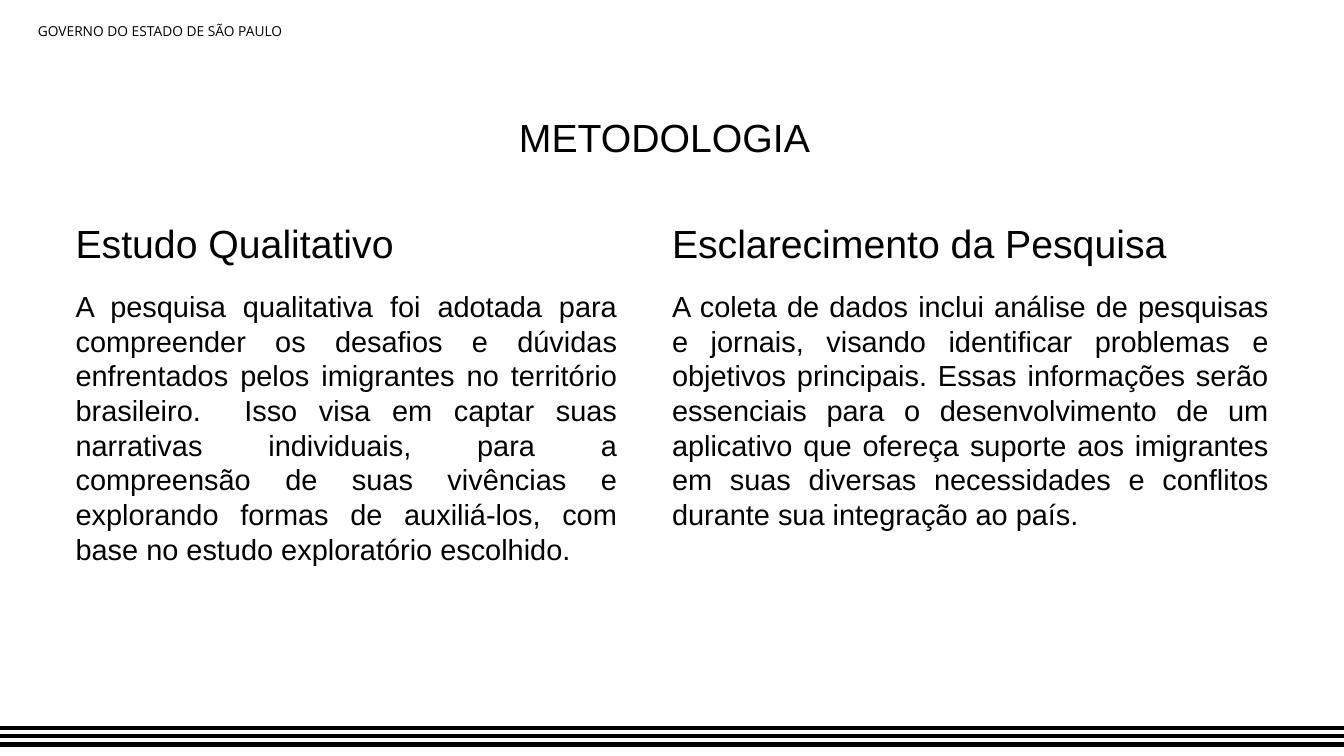
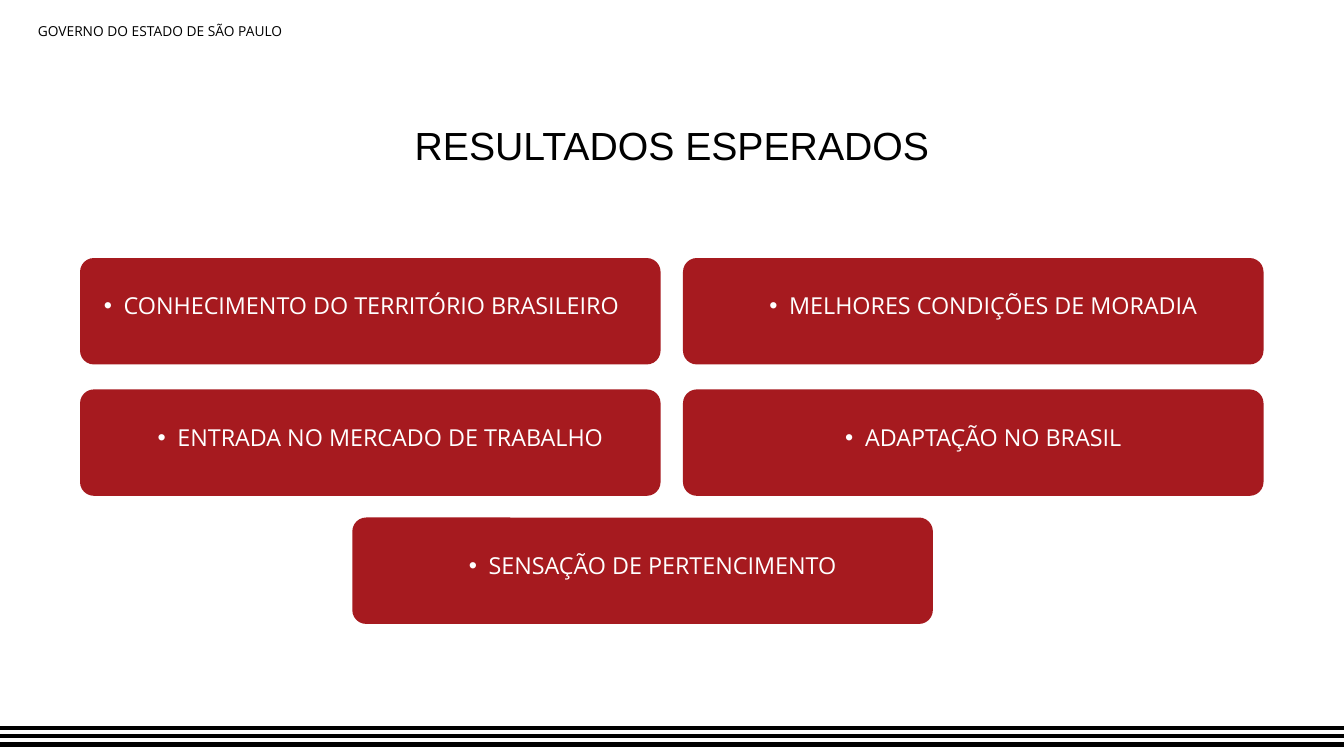
from lxml import etree
from pptx import Presentation, util as u
from pptx.dml.color import RGBColor
from pptx.enum import shapes, text
from pptx.oxml.ns import qn

COLOURS = {"ink": "000000", "card": "A61A1F", "card text": "FFFFFF"}
ALIGN = text.PP_ALIGN
WIDTH, HEIGHT = 1440, 810
TITLE_SIZE, TITLE_SPACING = 42, 50.4


def place(shape, left, top, width, height):
    shape.left, shape.top = u.Pt(left), u.Pt(top)
    shape.width, shape.height = u.Pt(width), u.Pt(height)


def write(shape, content, size, spacing, align=ALIGN.LEFT, font="Arial",
          colour="ink", anchor=text.MSO_ANCHOR.TOP, bottom=0, bullet=None):
    """Fill a shape with one paragraph at exact line spacing; bottom is the lower inset."""
    frame = shape.text_frame
    frame.word_wrap = True
    frame.auto_size = text.MSO_AUTO_SIZE.NONE
    frame.vertical_anchor = anchor
    frame.margin_left = frame.margin_top = frame.margin_right = 0
    frame.margin_bottom = u.Pt(bottom)
    frame.text = content
    para = frame.paragraphs[0]
    para.alignment = align
    para.line_spacing = u.Pt(spacing)
    para.space_before = para.space_after = u.Pt(0)
    properties = para._p.get_or_add_pPr()
    properties.set("marL", str(u.Pt(42.5) if bullet else 0))
    properties.set("indent", str(u.Pt(-21.25) if bullet else 0))
    if bullet:
        etree.SubElement(properties, qn("a:buFont"), typeface="Arial")
        etree.SubElement(properties, qn("a:buChar"), char=bullet)
    else:
        etree.SubElement(properties, qn("a:buNone"))
    para.font.name = font
    para.font.size = u.Pt(size)
    para.font.bold = False
    para.font.color.rgb = RGBColor.from_string(COLOURS[colour])


deck = Presentation()
deck.slide_width, deck.slide_height = u.Pt(WIDTH), u.Pt(HEIGHT)
comparison, title_only = deck.slide_layouts[4], deck.slide_layouts[5]

# Shared frame: title, header and three stripes at the foot
pages = []
for layout, title, box, align in [
    (comparison, "METODOLOGIA", (556, 121, 328, 57), ALIGN.LEFT),
    (title_only, "RESULTADOS ESPERADOS", (402, 130, 636, 57), ALIGN.CENTER),
]:
    page = deck.slides.add_slide(layout)
    pages.append(page)
    place(page.shapes.title, *box)
    write(page.shapes.title, title, TITLE_SIZE, TITLE_SPACING, align)
    header = page.shapes.add_textbox(u.Pt(26), u.Pt(21.5), u.Pt(291), u.Pt(20))
    write(header, "GOVERNO DO ESTADO DE SÃO PAULO", 14.7, 20.6, ALIGN.CENTER, "Open Sans")
    for row in range(3):
        y = u.Pt(779.75 + 9 * row)
        stripe = page.shapes.add_connector(
            shapes.MSO_CONNECTOR.STRAIGHT, 0, y, u.Pt(WIDTH), y)
        stripe.line.width = u.Pt(4.5)
        stripe.line.color.rgb = RGBColor.from_string(COLOURS["ink"])
        etree.SubElement(stripe._element.spPr, qn("a:effectLst"))
method_page, results_page = pages

# Methodology: two headed columns
columns = [
    (81, 580, "Estudo Qualitativo",
     "A pesquisa qualitativa foi adotada para compreender os desafios e dúvidas "
     "enfrentados pelos imigrantes no território brasileiro.  Isso visa em captar suas "
     "narrativas individuais, para a compreensão de suas vivências e explorando formas "
     "de auxiliá-los, com base no estudo exploratório escolhido."),
    (720, 639, "Esclarecimento da Pesquisa",
     "A coleta de dados inclui análise de pesquisas e jornais, visando identificar "
     "problemas e objetivos principais. Essas informações serão essenciais para o "
     "desenvolvimento de um aplicativo que ofereça suporte aos imigrantes em suas "
     "diversas necessidades e conflitos durante sua integração ao país."),
]
for column, (left, width, heading, body) in enumerate(columns):
    heading_box = page_heading = method_page.placeholders[1 + 2 * column]
    body_box = method_page.placeholders[2 + 2 * column]
    place(heading_box, left, 235, width, 57)
    write(heading_box, heading, TITLE_SIZE, TITLE_SPACING)
    place(body_box, left, 309, width, 300)
    write(body_box, body, 31, 37.2, ALIGN.JUSTIFY)

# Expected results: two rows of cards and one below
cards = [
    (85.75, 276.5, "CONHECIMENTO DO TERRITÓRIO BRASILEIRO", ALIGN.LEFT),
    (731.75, 276.5, "MELHORES CONDIÇÕES DE MORADIA", ALIGN.CENTER),
    (85.75, 417.25, "ENTRADA NO MERCADO DE TRABALHO", ALIGN.CENTER),
    (731.75, 417.25, "ADAPTAÇÃO NO BRASIL", ALIGN.CENTER),
    (377.5, 554.5, "SENSAÇÃO DE PERTENCIMENTO", ALIGN.CENTER),
]
for left, top, result, align in cards:
    card = results_page.shapes.add_shape(
        shapes.MSO_SHAPE.ROUNDED_RECTANGLE, u.Pt(left), u.Pt(top), u.Pt(622), u.Pt(114))
    card.adjustments[0] = 0.13
    card.shadow.inherit = False
    card.fill.solid()
    card.fill.fore_color.rgb = RGBColor.from_string(COLOURS["card"])
    card.line.fill.background()
    write(card, result, 25, 35, align, "Open Sans", "card text",
          text.MSO_ANCHOR.MIDDLE, bottom=17, bullet="•")

deck.save("out.pptx")
